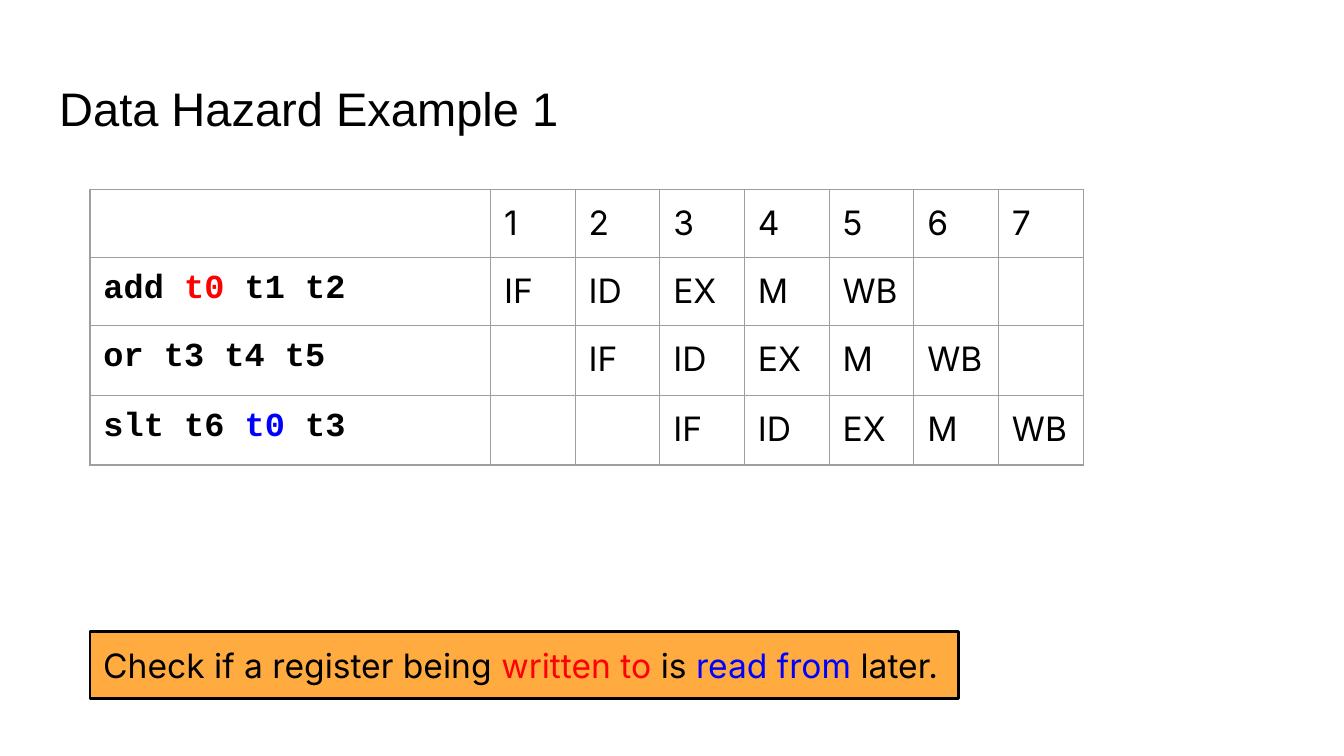
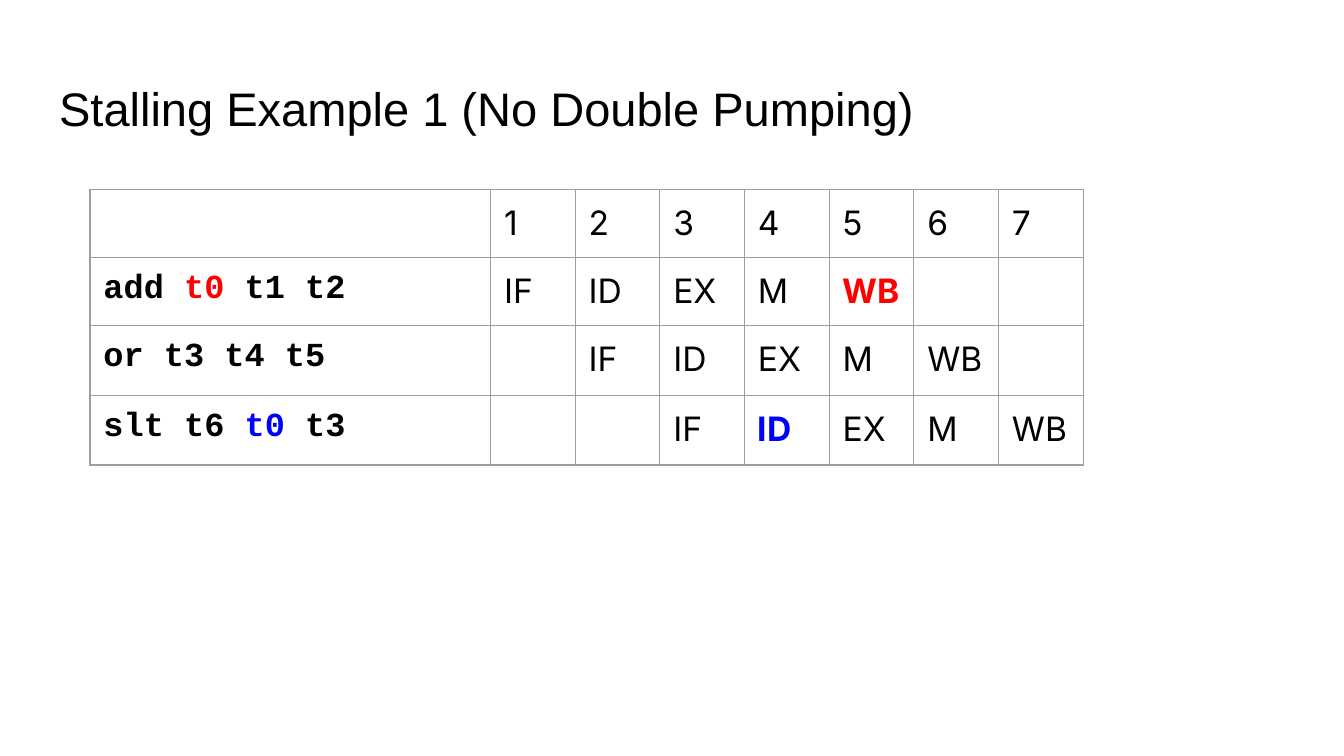
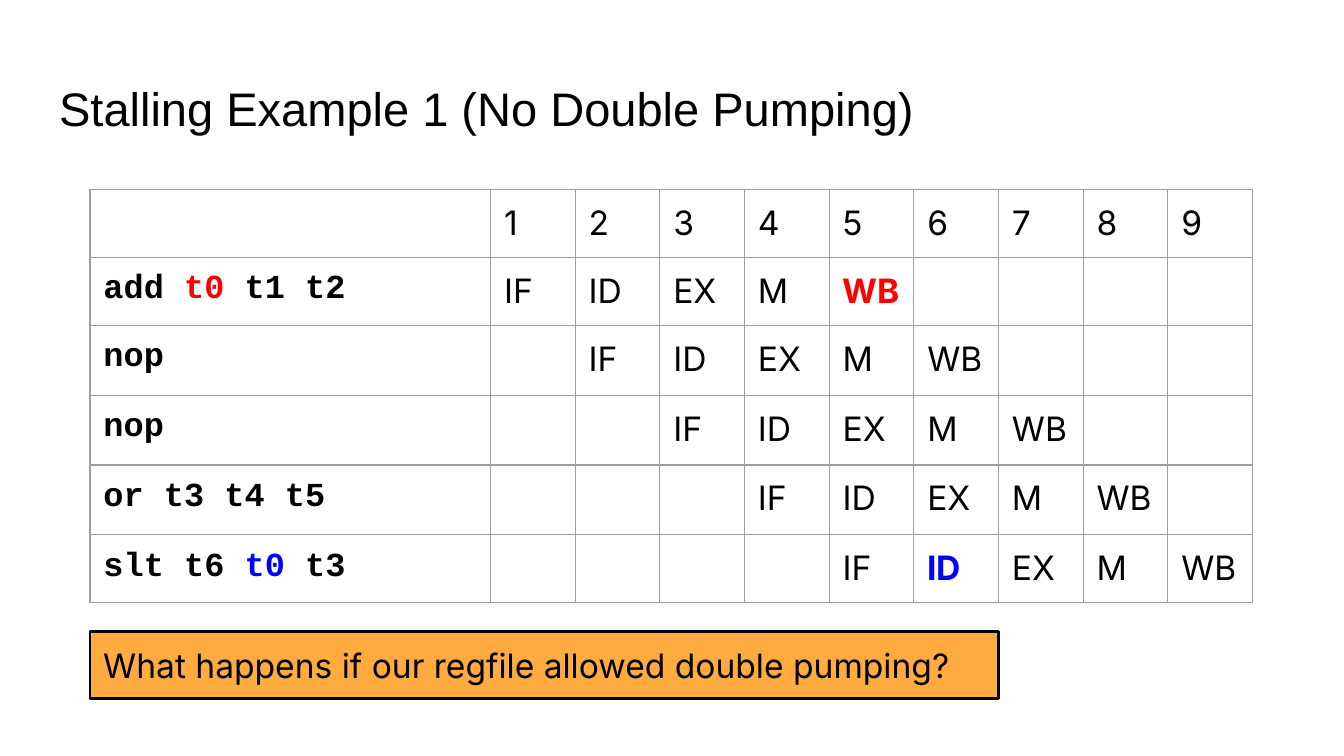
from lxml.etree import SubElement
from pptx import Presentation
from pptx.dml.color import RGBColor
from pptx.enum.shapes import MSO_SHAPE
from pptx.enum.text import MSO_ANCHOR, MSO_AUTO_SIZE, PP_ALIGN
from pptx.oxml.ns import qn
from pptx.util import Inches, Pt

BLACK = RGBColor(0x00, 0x00, 0x00)
RED = RGBColor(0xFF, 0x00, 0x00)
BLUE = RGBColor(0x00, 0x00, 0xFF)
ORANGE = RGBColor(0xFF, 0xAB, 0x40)
GRID = RGBColor(0x9E, 0x9E, 0x9E)
TITLE_FONT, BODY_FONT, CODE_FONT = "Arial", "Inter", "Courier New"

WIDTH = Inches(10)
HEIGHT = WIDTH * 9 // 16
LEFT = Inches(0.67)
INSET = Inches(0.1)
CODE_COL, CYCLE_COL = Inches(2.98), Inches(0.63)
LOW_ROW, TALL_ROW = Inches(0.5), Inches(0.52)
ROW_HEIGHTS = [LOW_ROW] * 2 + [TALL_ROW] * 3 + [LOW_ROW]

STAGES = ["IF", "ID", "EX", "M", "WB"]
ADD = [("add ", BLACK), ("t0", RED), (" t1 t2", BLACK)]
OR = [("or t3 t4 t5", BLACK)]
NOP = [("nop", BLACK)]
SLT = [("slt t6 ", BLACK), ("t0", BLUE), (" t3", BLACK)]


def write(p, runs, font=BODY_FONT, size=18, bold=False):
    p.alignment = PP_ALIGN.LEFT
    p.font.name, p.font.size, p.font.bold = font, Pt(size), bold
    p.font.color.rgb = BLACK
    for text, color in runs:
        r = p.add_run()
        r.text = text
        r.font.color.rgb = color


def set_insets(tf):
    tf.margin_left = tf.margin_right = tf.margin_top = tf.margin_bottom = INSET
    tf.word_wrap = True
    tf.vertical_anchor = MSO_ANCHOR.MIDDLE


def add_titled_slide(prs, title):
    slide = prs.slides.add_slide(prs.slide_layouts[5])
    sp = slide.shapes.title
    sp.left, sp.top = Inches(0.34), Inches(0.49)
    sp.width, sp.height = WIDTH - 2 * sp.left, Inches(0.63)
    tf = sp.text_frame
    tf.auto_size = MSO_AUTO_SIZE.NONE
    set_insets(tf)
    write(tf.paragraphs[0], [(title, BLACK)], TITLE_FONT, 25.2)
    return slide


def add_banner(slide, runs, width):
    sp = slide.shapes.add_shape(
        MSO_SHAPE.RECTANGLE, LEFT, Inches(4.7), Inches(width), Inches(0.5))
    sp.shadow.inherit = False
    sp.fill.solid()
    sp.fill.fore_color.rgb = ORANGE
    sp.line.color.rgb = BLACK
    sp.line.width = Pt(1.5)
    set_insets(sp.text_frame)
    write(sp.text_frame.paragraphs[0], runs)


def style_cell(cell):
    cell.margin_left = cell.margin_right = INSET
    cell.margin_top = cell.margin_bottom = INSET
    tcPr = cell._tc.get_or_add_tcPr()
    for side in ("a:lnL", "a:lnR", "a:lnT", "a:lnB"):
        ln = SubElement(tcPr, qn(side), w=str(Pt(0.75)))
        fill = SubElement(ln, qn("a:solidFill"))
        SubElement(fill, qn("a:srgbClr"), val=str(GRID))
    cell.fill.background()


def add_pipeline(slide, instructions, highlights):
    heights = ROW_HEIGHTS[:len(instructions) + 1]
    cycles = len(instructions) + len(STAGES) - 1
    table = slide.shapes.add_table(
        len(heights), cycles + 1, LEFT, Inches(1.41),
        CODE_COL + cycles * CYCLE_COL, sum(heights)).table
    table.first_row = table.horz_banding = False
    for row, height in zip(table.rows, heights):
        row.height = height
    for i, col in enumerate(table.columns):
        col.width = CYCLE_COL if i else CODE_COL
    for cell in table.iter_cells():
        style_cell(cell)

    def fill_cell(row, col, runs, **style):
        write(table.cell(row, col).text_frame.paragraphs[0], runs, **style)

    for cycle in range(1, cycles + 1):
        fill_cell(0, cycle, [(str(cycle), BLACK)])
    for row, code in enumerate(instructions, 1):
        fill_cell(row, 0, code, font=CODE_FONT, bold=True)
        for step, stage in enumerate(STAGES):
            color = highlights.get((row, stage), BLACK)
            fill_cell(row, row + step, [(stage, color)], bold=color != BLACK)


def main():
    prs = Presentation()
    prs.slide_width, prs.slide_height = WIDTH, HEIGHT

    slide = add_titled_slide(prs, "Data Hazard Example 1")
    add_banner(slide, [("Check if a register being ", BLACK), ("written to", RED),
                       (" is ", BLACK), ("read from", BLUE), (" later.", BLACK)], 6.46)
    add_pipeline(slide, [ADD, OR, SLT], {})

    stalling = "Stalling Example 1 (No Double Pumping)"
    slide = add_titled_slide(prs, stalling)
    add_pipeline(slide, [ADD, OR, SLT], {(1, "WB"): RED, (3, "ID"): BLUE})

    slide = add_titled_slide(prs, stalling)
    add_pipeline(slide, [ADD, NOP, NOP, OR, SLT], {(1, "WB"): RED, (5, "ID"): BLUE})
    add_banner(slide, [("What happens if our regfile allowed double pumping?", BLACK)], 6.76)

    prs.save("out.pptx")


if __name__ == "__main__":
    main()
